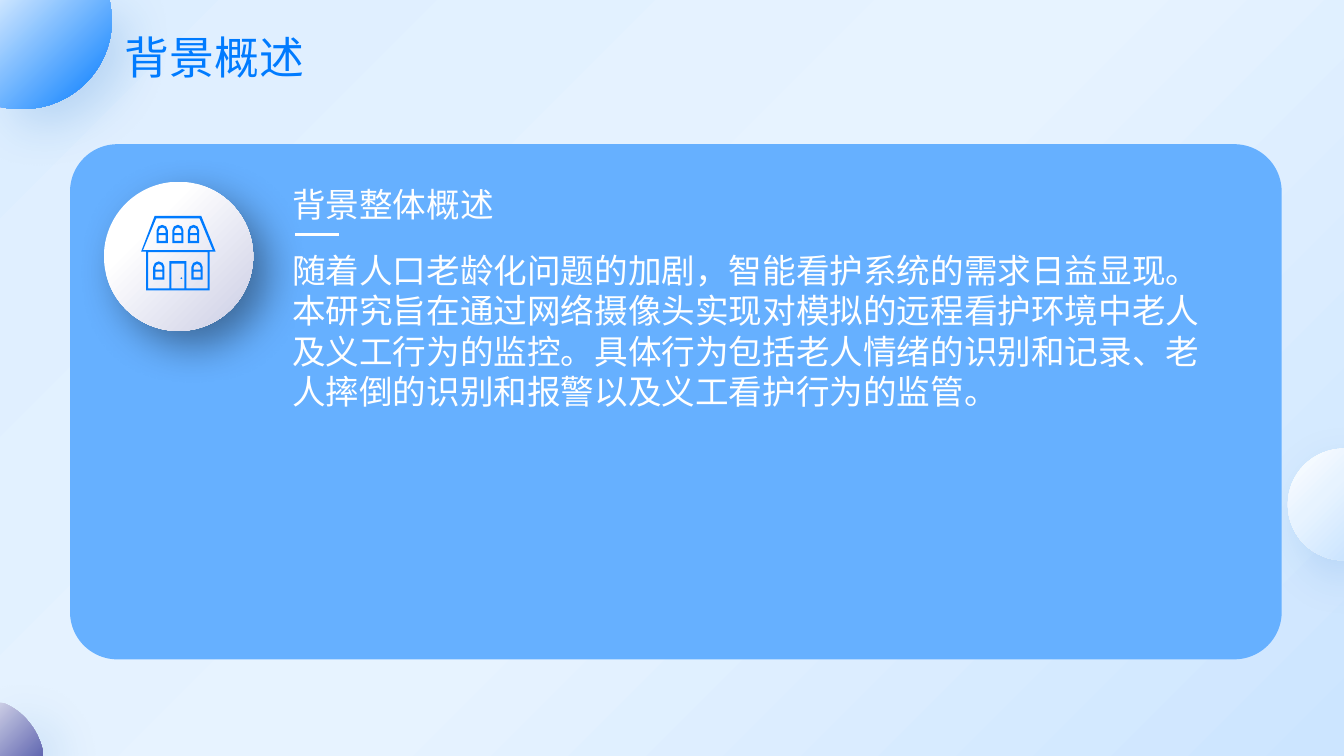
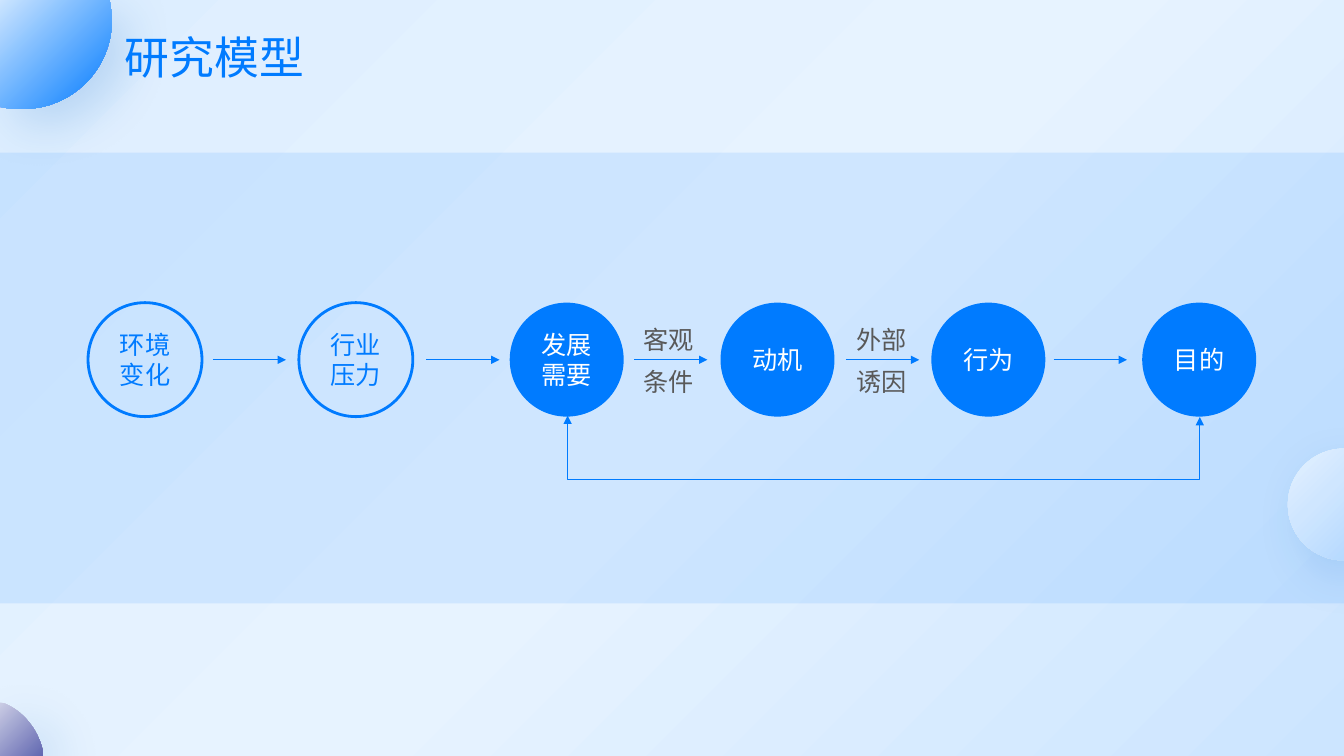
"""Build a background overview slide and a research model slide."""
from lxml.etree import SubElement
from pptx import Presentation
from pptx.dml.color import RGBColor
from pptx.enum.shapes import MSO_CONNECTOR, MSO_SHAPE
from pptx.enum.text import MSO_ANCHOR, MSO_AUTO_SIZE, PP_ALIGN
from pptx.oxml.ns import qn
from pptx.util import Pt

BLUE = "007BFF"
WHITE = "FFFFFF"
GRAY = "595959"
FONT = "Roboto"
WIDTH, HEIGHT = 960, 540


def paint(fill, element, colors):
    """Fill with one hex color, a list of (position, hex) stops, or nothing."""
    if colors is None:
        fill.background()
    elif isinstance(colors, str):
        fill.solid()
        fill.fore_color.rgb = RGBColor.from_string(colors)
    else:
        fill.gradient()
        gradient = element.find(".//" + qn("a:gradFill"))
        for child in list(gradient):
            gradient.remove(child)
        stops = SubElement(gradient, qn("a:gsLst"))
        for position, color in colors:
            stop = SubElement(stops, qn("a:gs"), pos=str(position * 1000))
            SubElement(stop, qn("a:srgbClr"), val=color)
        SubElement(gradient, qn("a:lin"), ang="2700000", scaled="0")


def write(shape, text, size, color, alignment=PP_ALIGN.LEFT):
    """Put text into a shape and format every run."""
    shape.text_frame.text = text
    for paragraph in shape.text_frame.paragraphs:
        paragraph.alignment = alignment
        for run in paragraph.runs:
            run.font.size = Pt(size)
            run.font.name = FONT
            run.font.color.rgb = RGBColor.from_string(color)


presentation = Presentation()
presentation.slide_width = Pt(WIDTH)
presentation.slide_height = Pt(HEIGHT)
layout = presentation.slide_layouts[5]
background_stops = [(0, "DDEEFF"), (52, "E7F3FF"), (100, "CCE5FF")]
paint(layout.background.fill, layout.element, background_stops)
for placeholder in list(layout.placeholders):
    if placeholder.placeholder_format.idx:
        layout.shapes.element.remove(placeholder.element)

slides = []
for title_text, title_width in [("背景概述", 152), ("研究模型", 216)]:
    slide = presentation.slides.add_slide(layout)
    title = slide.shapes.title
    title.left, title.top, title.width, title.height = Pt(82), Pt(19), Pt(title_width), Pt(47.5)
    write(title, title_text, 32, BLUE)
    title.text_frame.vertical_anchor = MSO_ANCHOR.MIDDLE
    title.text_frame.auto_size = MSO_AUTO_SIZE.NONE
    title.text_frame.paragraphs[0].line_spacing = 0.9
    slides.append(slide)
overview, model = slides

shapes = overview.shapes
card = shapes.add_shape(MSO_SHAPE.ROUNDED_RECTANGLE, Pt(50), Pt(103), Pt(865.5), Pt(368))
card.adjustments[0] = 0.092
paint(card.fill, card.element, "66B0FF")
card.line.fill.background()
disc = shapes.add_shape(MSO_SHAPE.OVAL, Pt(74.2), Pt(129.8), Pt(106.6), Pt(106.6))
paint(disc.fill, disc.element, [(29, WHITE), (100, "CBCDE5")])
disc.line.fill.background()
shadowed = [(disc, "000000", 40, 30, 15)]

overview_text = (
    "随着人口老龄化问题的加剧，智能看护系统的需求日益显现。"
    "本研究旨在通过网络摄像头实现对模拟的远程看护环境中老人及义工行为的监控。"
    "具体行为包括老人情绪的识别和记录、老人摔倒的识别和报警以及义工看护行为的监管。"
)
for text, top, width, height in [("背景整体概述", 127.8, 160, 36), (overview_text, 175, 684, 124)]:
    text_box = shapes.add_textbox(Pt(201.6), Pt(top), Pt(width), Pt(height))
    write(text_box, text, 24, WHITE)
    text_box.text_frame.word_wrap = text == overview_text
underline = shapes.add_connector(MSO_CONNECTOR.STRAIGHT, Pt(211), Pt(167.5), Pt(242), Pt(167.5))
underline.line.color.rgb = RGBColor.from_string(WHITE)
underline.line.width = Pt(2.25)

house = [
    [(110.5, 154.2), (143.8, 154.2), (154.1, 179.8), (149.8, 179.8),
     (149.8, 207.4), (104.4, 207.4), (104.4, 179.8), (100.8, 179.8)],
    [(111.6, 156), (102.2, 178.6), (152, 178.6), (142.6, 156)],
    [(105.8, 180), (105.8, 206), (121, 206), (121, 186.5),
     (133.2, 186.5), (133.2, 206), (148.3, 206), (148.3, 180)],
    [(122.4, 188.4), (122.4, 206), (131.8, 206), (131.8, 188.4)],
    [(128.9, 198.7), (128.9, 197.8, 130.3, 197.8, 130.3, 198.7),
     (130.3, 199.6, 128.9, 199.6, 128.9, 198.7)],
]
windows = [(115.9, 160.6), (127.1, 160.6), (138.3, 160.6), (113.5, 186.7), (140.8, 186.7)]
for center, top in windows:
    for radius, arch_top, arch_bottom in [(4, top, top + 13), (2.5, top + 1.9, top + 5.9)]:
        left, right, spring = center - radius, center + radius, arch_top + radius
        bend = 0.45 * radius
        house.append([
            (left, arch_bottom), (left, spring),
            (left, arch_top + bend, left + bend, arch_top, center, arch_top),
            (right - bend, arch_top, right, arch_top + bend, right, spring),
            (right, arch_bottom),
        ])
    house.append([(center + x, top + y) for x, y in [(-2.5, 7.4), (-2.5, 11.5), (2.5, 11.5), (2.5, 7.4)]])

top_left_ball = [
    (0, 0), (78.5, 0), (78.5, 1.4), (79.2, 5.8, 79.9, 10.1, 79.9, 14.4),
    (79.9, 49.7, 51.1, 77.8, 16.6, 77.8), (11.5, 77.8, 7.2, 77.8, 3.6, 77), (0, 76.3),
]
right_ball = [
    (960, 320.4), (960, 400.3), (937.4, 400.3, 919.9, 382.3, 919.9, 360.3),
    (919.9, 338.4, 937.4, 320.4, 960, 320.4),
]
bottom_left_ball = [
    (0, 501.8), (3.6, 502.6), (16.6, 508.3, 26.6, 520.6, 30.2, 535), (30.2, 540), (0, 540),
]
outlines = [
    (house, BLUE),
    ([top_left_ball], [(0, "CCE5FF"), (100, BLUE)]),
    ([right_ball], [(0, WHITE), (49, "E7F3FF"), (100, "CCE5FF")]),
    ([bottom_left_ball], [(0, "CBCDE5"), (100, "6369B2")]),
]
balls = []
for contours, colors in outlines:
    horizontal = [step[-2] for contour in contours for step in contour]
    vertical = [step[-1] for contour in contours for step in contour]
    left, right, top, bottom = min(horizontal), max(horizontal), min(vertical), max(vertical)
    builder = shapes.build_freeform(Pt(left), Pt(top))
    builder.add_line_segments([(Pt(right), Pt(top)), (Pt(right), Pt(bottom)), (Pt(left), Pt(bottom))])
    outline = builder.convert_to_shape()
    drawing = outline.element.find(".//" + qn("a:path"))
    for child in list(drawing):
        drawing.remove(child)
    for contour in contours:
        for index, step in enumerate(contour):
            tag = "a:moveTo" if index == 0 else "a:lnTo" if len(step) == 2 else "a:cubicBezTo"
            segment = SubElement(drawing, qn(tag))
            for x, y in zip(step[::2], step[1::2]):
                SubElement(segment, qn("a:pt"), x=str(Pt(x) - Pt(left)), y=str(Pt(y) - Pt(top)))
        SubElement(drawing, qn("a:close"))
    paint(outline.fill, outline.element, colors)
    outline.line.fill.background()
    if contours is not house:
        balls.append(outline)
        shadowed.append((outline, "005CBF", 16, 35, 16))
for ball in balls:
    layout.shapes.element.append(ball.element)

shapes = model.shapes
band = shapes.add_shape(MSO_SHAPE.RECTANGLE, Pt(0), Pt(109), Pt(WIDTH), Pt(322))
paint(band.fill, band.element, BLUE)
SubElement(band.element.find(".//" + qn("a:srgbClr")), qn("a:alpha"), val="10000")
band.line.fill.background()

steps = ["环境\n变化", "行业\n压力", "发展\n需要", "动机", "行为", "目的"]
for index, text in enumerate(steps):
    outlined = index < 2
    step = shapes.add_shape(
        MSO_SHAPE.OVAL, Pt(62.9 + 150.6 * index), Pt(216.2), Pt(81.4), Pt(81.4)
    )
    paint(step.fill, step.element, None if outlined else BLUE)
    paint(step.line.fill, step.element, BLUE if outlined else None)
    if outlined:
        step.line.width = Pt(2)
    write(step, text, 18, BLUE if outlined else WHITE, PP_ALIGN.CENTER)
    step.text_frame.vertical_anchor = MSO_ANCHOR.MIDDLE

arrows = []
for left in (152, 304.5, 453, 604.3, 752.7):
    arrows.append(
        shapes.add_connector(MSO_CONNECTOR.STRAIGHT, Pt(left), Pt(257), Pt(left + 52.3), Pt(257))
    )
feedback = shapes.add_connector(MSO_CONNECTOR.ELBOW, Pt(631.7), Pt(71.6), Pt(630.7), Pt(523.2))
feedback.rotation = 270
geometry = feedback.element.spPr.find(qn("a:prstGeom"))
for guides in geometry.findall(qn("a:avLst")):
    geometry.remove(guides)
guides = SubElement(geometry, qn("a:avLst"))
SubElement(guides, qn("a:gd"), name="adj1", fmla="val 4591800")
for arrow in arrows + [feedback]:
    arrow.line.color.rgb = RGBColor.from_string(BLUE)
    arrow.line.width = Pt(0.5)
    line_element = arrow.element.spPr.find(qn("a:ln"))
    if arrow is feedback:
        SubElement(line_element, qn("a:headEnd"), type="triangle")
    SubElement(line_element, qn("a:tailEnd"), type="triangle")

for left, words in [(452.6, ("客观", "条件")), (604.8, ("外部", "诱因"))]:
    for top, word in zip((227.9, 258.3), words):
        label = shapes.add_textbox(Pt(left), Pt(top), Pt(51), Pt(29))
        write(label, word, 18, GRAY)
        label.text_frame.word_wrap = False

for shape, color, opacity, blur, distance in shadowed:
    effects = SubElement(shape.element.spPr, qn("a:effectLst"))
    shadow = SubElement(
        effects, qn("a:outerShdw"), blurRad=str(Pt(blur)), dist=str(Pt(distance)),
        dir="2700000", algn="tl", rotWithShape="0",
    )
    shadow_color = SubElement(shadow, qn("a:srgbClr"), val=color)
    SubElement(shadow_color, qn("a:alpha"), val=str(opacity * 1000))
for slide in slides:
    for shape in slide.shapes:
        properties = shape.element.spPr
        if not shape.is_placeholder and properties.find(qn("a:effectLst")) is None:
            SubElement(properties, qn("a:effectLst"))

presentation.save("out.pptx")
